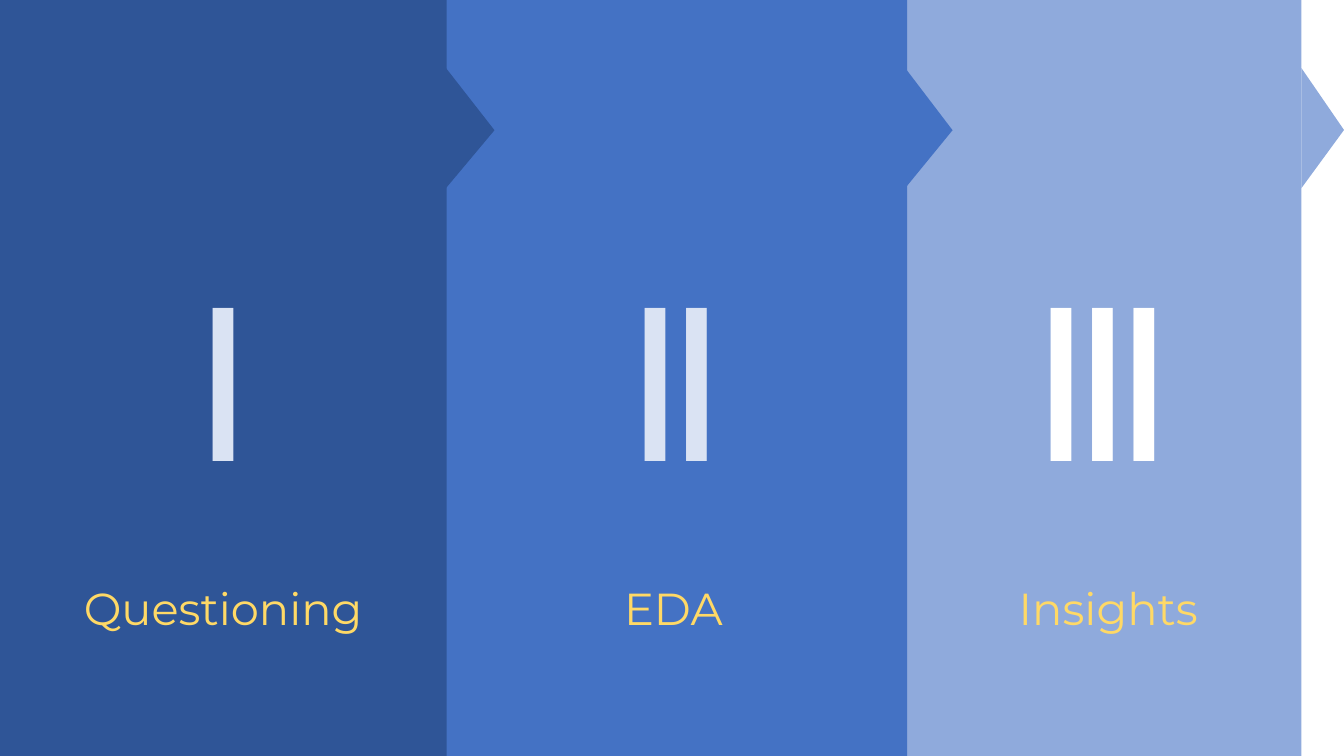
from pptx import Presentation
from pptx.dml.color import RGBColor
from pptx.enum.shapes import MSO_SHAPE as Shape
from pptx.enum.text import MSO_ANCHOR as Anchor, PP_ALIGN as Align, MSO_AUTO_SIZE as Auto
from pptx.util import Pt

NAVY = RGBColor(0x2F, 0x55, 0x97)
BLUE = RGBColor(0x44, 0x72, 0xC4)
SKY = RGBColor(0x8F, 0xAA, 0xDC)
PALE = RGBColor(0xDA, 0xE3, 0xF3)
WHITE = RGBColor(0xFF, 0xFF, 0xFF)
GOLD = RGBColor(0xFF, 0xD9, 0x66)

WIDE, HIGH = 960, 540
ARROW_MID, ARROW_SPAN = 91.5, 85.7
LABEL_TOP, LABEL_HIGH = 411.1, 46

# numeral, label, fill, ink, panel (left, width), arrow (left, depth, peak), label (left, width)
STEPS = [
    ("Ⅲ", "Insights", SKY, WHITE, (646.6, 283), (929.6, 30.4, 0.516), (679.7, 223.9)),
    ("Ⅱ", "EDA", BLUE, PALE, (318.2, 329.8), (646.6, 33.8, 0.518), (355.7, 250.6)),
    ("Ⅰ", "Questioning", NAVY, PALE, (0, 319), (318.6, 34.6, 0.518), (31.7, 255.6)),
]


def add_block(group, kind, left, top, width, height, fill):
    block = group.shapes.add_shape(kind, Pt(left), Pt(top), Pt(width), Pt(height))
    block.shadow.inherit = False
    block.fill.solid()
    block.fill.fore_color.rgb = fill
    block.line.fill.background()
    return block


def set_text(frame, text, size, face, ink):
    frame.text = text
    para = frame.paragraphs[0]
    para.alignment = Align.CENTER
    font = para.runs[0].font
    font.size, font.name = Pt(size), face
    font.color.rgb = ink


def add_step(slide, numeral, label, fill, ink, panel, arrow, place):
    group = slide.shapes.add_group_shape()
    left, width = panel
    block = add_block(group, Shape.RECTANGLE, left, 0, width, HIGH, fill)
    block.text_frame.vertical_anchor = Anchor.MIDDLE
    set_text(block.text_frame, numeral, 150, "Calibri", ink)

    left, depth, peak = arrow
    tip = add_block(group, Shape.ISOSCELES_TRIANGLE,
                    left + (depth - ARROW_SPAN) / 2, ARROW_MID - depth / 2,
                    ARROW_SPAN, depth, fill)
    tip.rotation = 90
    tip.adjustments[0] = peak

    left, width = place
    box = group.shapes.add_textbox(Pt(left), Pt(LABEL_TOP), Pt(width), Pt(LABEL_HIGH))
    box.text_frame.word_wrap = True
    box.text_frame.auto_size = Auto.SHAPE_TO_FIT_TEXT
    set_text(box.text_frame, label, 32, "Montserrat", GOLD)


def main():
    deck = Presentation()
    deck.slide_width, deck.slide_height = Pt(WIDE), Pt(HIGH)
    slide = deck.slides.add_slide(deck.slide_layouts[6])
    for step in STEPS:
        add_step(slide, *step)
    deck.save("out.pptx")


if __name__ == "__main__":
    main()
